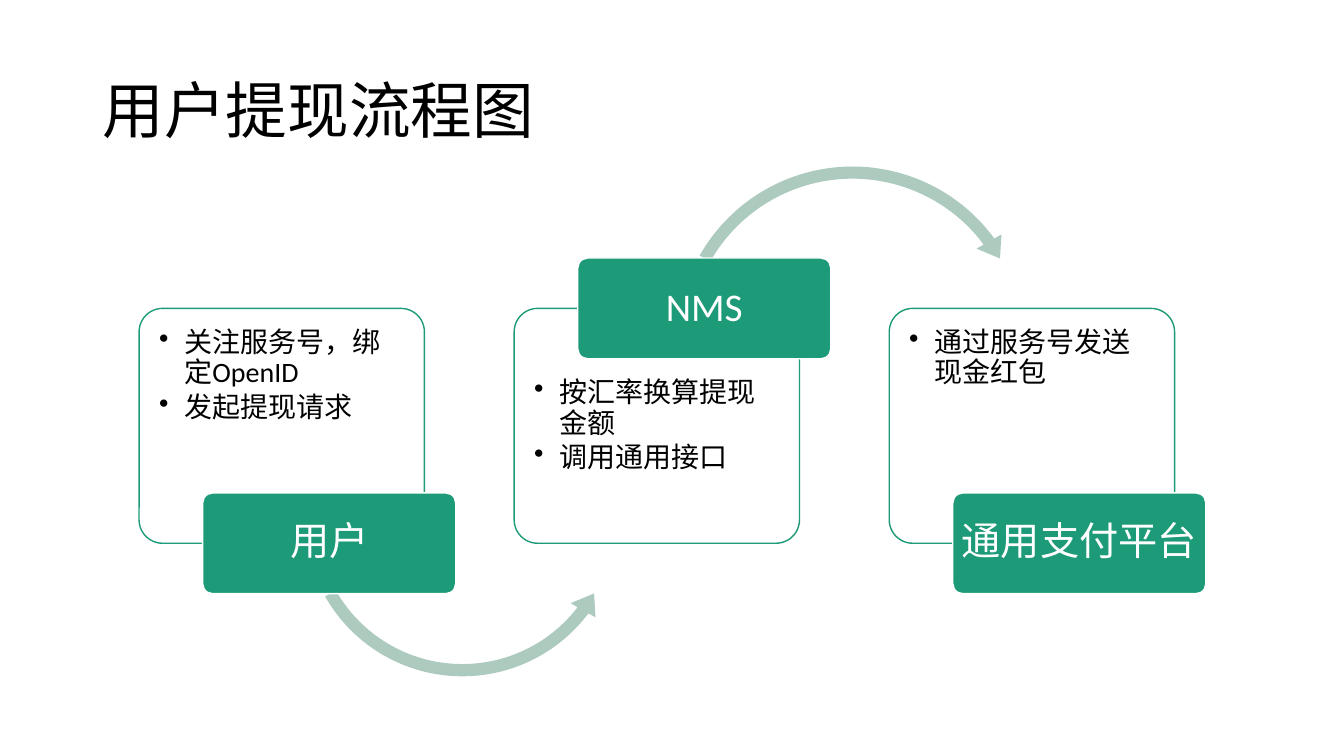
import dataclasses
import typing

import pptx
import pptx.dml.color
import pptx.enum.shapes
import pptx.enum.text
import pptx.oxml
import pptx.oxml.ns
import pptx.util

Inches = pptx.util.Inches
Pt = pptx.util.Pt
Preset = pptx.enum.shapes.MSO_SHAPE
Anchor = pptx.enum.text.MSO_ANCHOR
Align = pptx.enum.text.PP_ALIGN

FONT = "Calibri"
GREEN, PALE_GREEN, WHITE, BLACK = "1D9A78", "ACCABE", "FFFFFF", "000000"

PANEL_LEFT, PANEL_TOP, PANEL_PITCH = 1.38, 3.06, 3.72
PANEL_WIDTH, PANEL_HEIGHT = 2.83, 2.33
LABEL_WIDTH, LABEL_HEIGHT, LABEL_OFFSET = 2.51, 1.0, 0.63
CORNER = 0.1
BULLET_INDENT = 0.25


@dataclasses.dataclass
class Arrow:
    preset: pptx.enum.shapes.MSO_SHAPE
    left: float
    top: float
    size: float
    adjustments: tuple[float, ...]


@dataclasses.dataclass
class Step:
    label: str
    actions: list[str]
    label_on_top: bool = False
    arrow: typing.Optional[Arrow] = None


STEPS = [
    Step("用户", ["关注服务号，绑定OpenID", "发起提现请求"],
         arrow=Arrow(Preset.LEFT_CIRCULAR_ARROW, 2.94, 3.5, 3.29,
                     (0.037, 4.574, 22.329, 90.245, 0.043))),
    Step("NMS", ["按汇率换算提现金额", "调用通用接口"], label_on_top=True,
         arrow=Arrow(Preset.CIRCULAR_ARROW, 6.63, 1.57, 3.65,
                     (0.033, 4.086, 194.159, 125.755, 0.039))),
    Step("通用支付平台", ["通过服务号发送现金红包"]),
]


def color(value: str) -> pptx.dml.color.RGBColor:
    return pptx.dml.color.RGBColor.from_string(value)


def add_bullet(paragraph) -> None:
    properties = paragraph._p.get_or_add_pPr()
    properties.set("marL", str(Inches(BULLET_INDENT)))
    properties.set("indent", str(Inches(-BULLET_INDENT)))
    bullet = pptx.oxml.parse_xml(
        f'<a:buChar {pptx.oxml.ns.nsdecls("a")} char="•"/>')
    properties.append(bullet)


def write_text(shape, lines: list[str], *, size: float, font_color: str,
               insets: tuple[float, float, float, float],
               anchor=Anchor.MIDDLE, alignment=Align.LEFT,
               space_after: float = 0, bullets: bool = False) -> None:
    """Fill a shape with paragraphs; insets are left, top, right, bottom."""
    frame = shape.text_frame
    frame.word_wrap = True
    frame.vertical_anchor = anchor
    (frame.margin_left, frame.margin_top,
     frame.margin_right, frame.margin_bottom) = map(Inches, insets)
    for index, line in enumerate(lines):
        paragraph = frame.add_paragraph() if index else frame.paragraphs[0]
        paragraph.alignment = alignment
        paragraph.line_spacing = 0.9
        paragraph.space_after = Pt(space_after)
        if bullets:
            add_bullet(paragraph)
        run = paragraph.add_run()
        run.text = line
        run.font.name = FONT
        run.font.size = Pt(size)
        run.font.color.rgb = color(font_color)


def add_filled_shape(slide, preset, left: float, top: float, width: float,
                     height: float, *, fill: str,
                     adjustments: tuple[float, ...],
                     line: typing.Optional[str] = None):
    shape = slide.shapes.add_shape(
        preset, Inches(left), Inches(top), Inches(width), Inches(height))
    shape.shadow.inherit = False
    for index, adjustment in enumerate(adjustments):
        shape.adjustments[index] = adjustment
    shape.fill.solid()
    shape.fill.fore_color.rgb = color(fill)
    if line:
        shape.line.color.rgb = color(line)
        shape.line.width = Pt(1)
    else:
        shape.line.fill.background()
    return shape


def draw_step(slide, step: Step, left: float) -> None:
    panel = add_filled_shape(
        slide, Preset.ROUNDED_RECTANGLE, left, PANEL_TOP, PANEL_WIDTH,
        PANEL_HEIGHT, fill=WHITE, line=GREEN, adjustments=(CORNER,))
    top_inset = 0.13 + (LABEL_HEIGHT / 2 if step.label_on_top else 0)
    write_text(panel, step.actions, size=20, font_color=BLACK,
               insets=(0.13, top_inset, 0.13, 0.13), anchor=Anchor.TOP,
               space_after=3, bullets=True)

    if step.arrow:
        arrow = step.arrow
        add_filled_shape(slide, arrow.preset, arrow.left, arrow.top,
                         arrow.size, arrow.size, fill=PALE_GREEN,
                         adjustments=arrow.adjustments)

    edge = PANEL_TOP if step.label_on_top else PANEL_TOP + PANEL_HEIGHT
    label = add_filled_shape(
        slide, Preset.ROUNDED_RECTANGLE, left + LABEL_OFFSET,
        edge - LABEL_HEIGHT / 2, LABEL_WIDTH, LABEL_HEIGHT,
        fill=GREEN, line=WHITE, adjustments=(CORNER,))
    write_text(label, [step.label], size=28, font_color=WHITE,
               insets=(0.04, 0.04, 0.04, 0.04), alignment=Align.CENTER)


def main() -> None:
    presentation = pptx.Presentation()
    presentation.slide_width = Inches(13.33)
    presentation.slide_height = Inches(7.5)
    slide = presentation.slides.add_slide(presentation.slide_layouts[6])

    title = slide.shapes.add_textbox(
        Inches(0.92), Inches(0.4), Inches(11.5), Inches(1.45))
    write_text(title, ["用户提现流程图"], size=44, font_color=BLACK,
               insets=(0.1, 0.05, 0.1, 0.05))

    for index, step in enumerate(STEPS):
        draw_step(slide, step, PANEL_LEFT + index * PANEL_PITCH)

    presentation.save("out.pptx")


if __name__ == "__main__":
    main()
